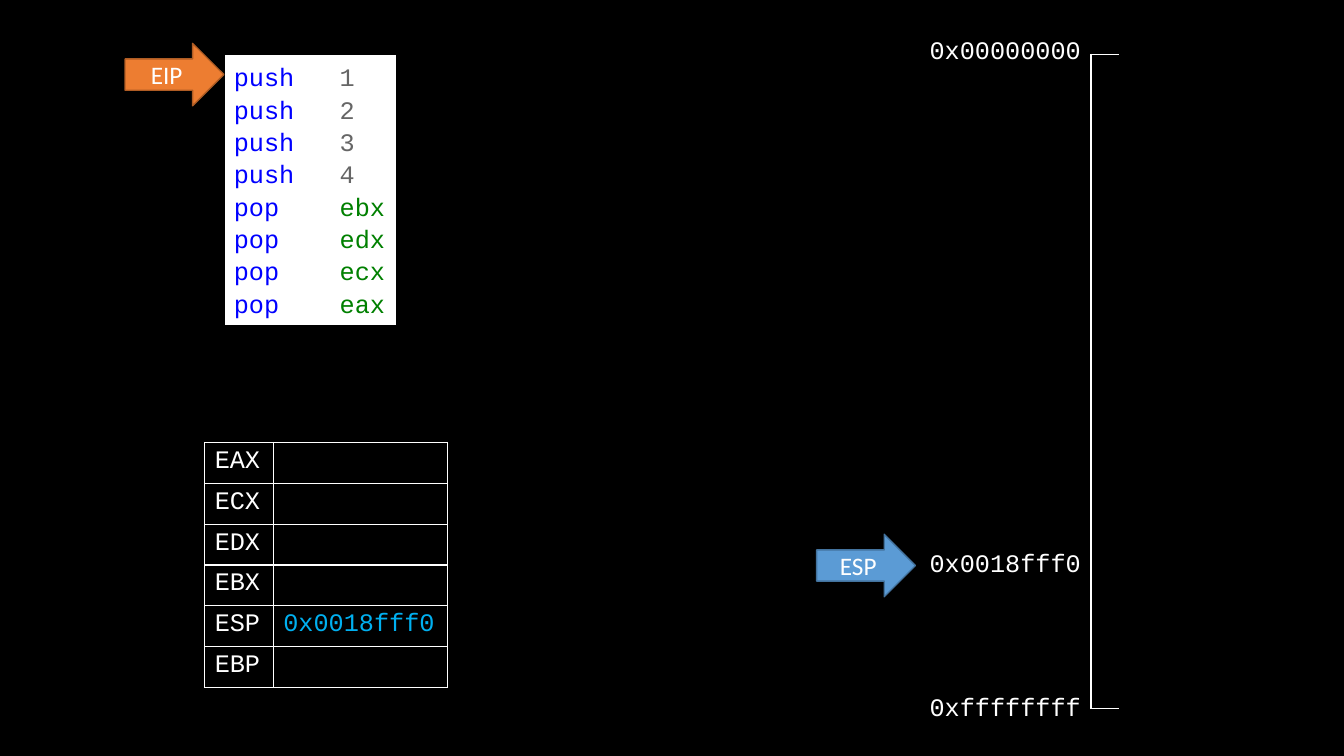
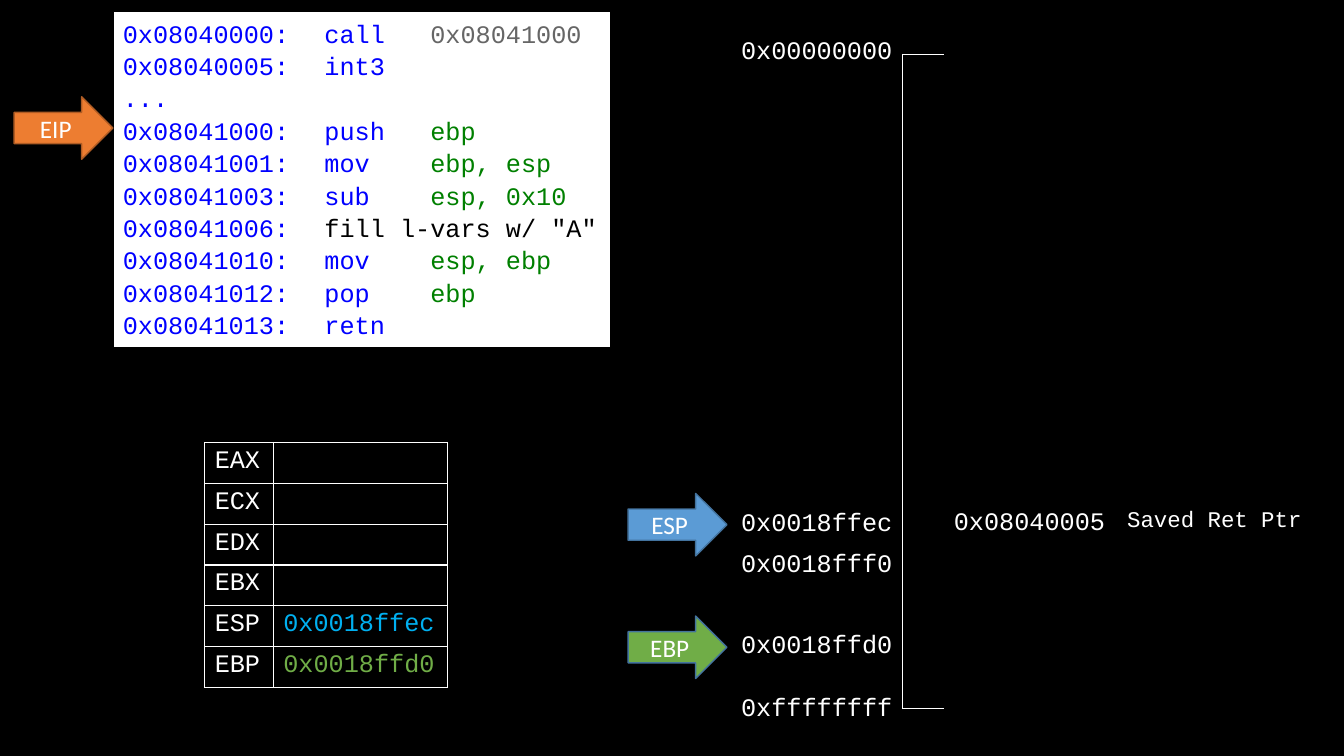
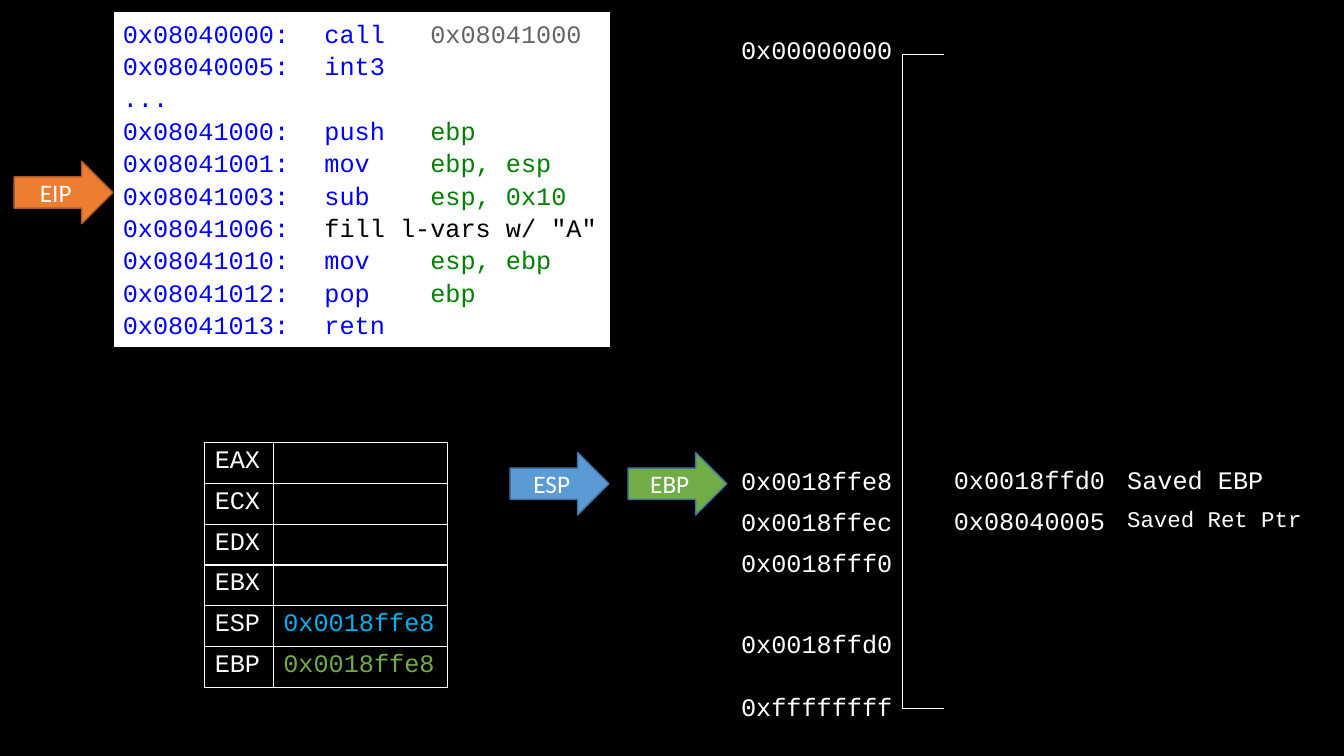
"""Build three slides that step through stack operations."""
import pptx
import pptx.dml.color
import pptx.enum.shapes
import pptx.enum.text
import pptx.oxml
import pptx.oxml.ns
import pptx.util

Inches = pptx.util.Inches
Pt = pptx.util.Pt
RGB = pptx.dml.color.RGBColor
ALIGN = pptx.enum.text.PP_ALIGN
ANCHOR = pptx.enum.text.MSO_ANCHOR
SHAPE = pptx.enum.shapes.MSO_SHAPE

BLACK = RGB(0x00, 0x00, 0x00)
WHITE = RGB(0xFF, 0xFF, 0xFF)
BLUE = RGB(0x00, 0x00, 0xFF)
GRAY = RGB(0x66, 0x66, 0x66)
GREEN = RGB(0x00, 0x80, 0x00)
SKY = RGB(0x00, 0xB0, 0xF0)
LEAF = RGB(0x70, 0xAD, 0x47)
STEEL = RGB(0x5B, 0x9B, 0xD5)
NAVY = RGB(0x43, 0x73, 0x9E)
AMBER = RGB(0xED, 0x7D, 0x31)
RUST = RGB(0xAF, 0x5C, 0x24)

MONO, SANS = "Courier New", "Calibri"
PLAIN = "{2D5ABB26-0587-4C30-8999-92F81FD0307C}"
NAMES = ["EAX", "ECX", "EDX", "EBX", "ESP", "EBP"]
TONES = {"ESP": SKY, "EBP": LEAF}
ARROWS = {"EIP": (AMBER, RUST), "ESP": (STEEL, NAVY), "EBP": (LEAF, NAVY)}

TOP, SLOTS = 0.54, 16
ROW = 6.49 / SLOTS
LINE = 0.32
WIDE, HIGH, STEP = 0.98, 0.62, 1.17

PUSHES = {
    "box": (2.22, 0.54, 1.71, 2.69),
    "tabs": [1.05],
    "lines": [
        ("push\t", "1", GRAY),
        ("push\t", "2", GRAY),
        ("push\t", "3", GRAY),
        ("push\t", "4", GRAY),
        ("pop\t", "ebx", GREEN),
        ("pop\t", "edx", GREEN),
        ("pop\t", "ecx", GREEN),
        ("pop\t", "eax", GREEN),
    ],
}
CALLS = {
    "box": (1.12, 0.11, 4.94, 3.34),
    "tabs": [2, 3.05],
    "lines": [
        ("0x08040000:\tcall\t", "0x08041000", GRAY),
        ("0x08040005:\tint3", "", BLUE),
        ("...", "", BLUE),
        ("0x08041000:\tpush\t", "ebp", GREEN),
        ("0x08041001:\tmov\t", "ebp, esp", GREEN),
        ("0x08041003:\tsub\t", "esp, 0x10", GREEN),
        ("0x08041006:\t", "fill l-vars w/ \"A\"", BLACK),
        ("0x08041010:\tmov\t", "esp, ebp", GREEN),
        ("0x08041012:\tpop\t", "ebp", GREEN),
        ("0x08041013:\tretn", "", BLUE),
    ],
}
BASE = {12: "0x0018fff0"}
FRAME = {11: "0x0018ffec", **BASE, 14: "0x0018ffd0"}
RETURN = {11: ("0x08040005", "Saved Ret Ptr")}
SLIDES = [
    {"code": PUSHES, "eip": 0, "left": 10.82, "cols": [0.28, 1.84],
     "marks": BASE, "stack": {}, "regs": {"ESP": 12}},
    {"code": CALLS, "eip": 3, "left": 8.95, "cols": [0.41, 1.72, 2.02],
     "marks": FRAME, "stack": RETURN, "regs": {"ESP": 11, "EBP": 14}},
    {"code": CALLS, "eip": 5, "left": 8.95, "cols": [0.41, 1.72, 2.02],
     "marks": {10: "0x0018ffe8", **FRAME},
     "stack": {10: ("0x0018ffd0", "Saved EBP"), **RETURN},
     "regs": {"ESP": 10, "EBP": 10}},
]


def style(run, color, font=MONO, size=18):
    """Format one run."""
    run.font.name, run.font.size = font, Pt(size)
    run.font.color.rgb = color


def border(cell, sides):
    """Draw white lines on the given sides of a cell."""
    props = cell._tc.get_or_add_tcPr()
    for side in sides:
        props.append(pptx.oxml.parse_xml(
            f'<a:ln{side} {pptx.oxml.ns.nsdecls("a")} w="12700"><a:solidFill>'
            f'<a:srgbClr val="{WHITE}"/></a:solidFill></a:ln{side}>'))


def grid(slide, left, top, cols, rows, sides):
    """Add a bare table, with sides(row, col) naming the lines of each cell."""
    table = slide.shapes.add_table(
        len(rows), len(cols), Inches(left), Inches(top),
        Inches(sum(cols)), Inches(sum(rows))).table
    table.first_row = table.horz_banding = False
    table._tbl.tblPr.find(pptx.oxml.ns.qn("a:tableStyleId")).text = PLAIN
    for col, width in zip(table.columns, cols):
        col.width = Inches(width)
    for r, height in enumerate(rows):
        table.rows[r].height = Inches(height)
        for c in range(len(cols)):
            cell = table.cell(r, c)
            border(cell, sides(r, c))
            cell.fill.background()
            end = cell.text_frame.paragraphs[0]._p.get_or_add_endParaRPr()
            end.set("sz", "600")
    return table


def write(cell, text, color=WHITE, size=18):
    """Put text in a table cell."""
    para = cell.text_frame.paragraphs[0]
    para.text = text
    style(para.runs[0], color, size=size)
    return para


def stack(slide, left, cols, items):
    """Draw the bracketed stack and its values."""
    def sides(r, c):
        if c:
            return ""
        return "L" + "T" * (r == 0) + "B" * (r == SLOTS - 1)

    table = grid(slide, left, TOP, cols, [ROW] * SLOTS, sides)
    for slot, (value, note) in items.items():
        write(table.cell(slot, 1), value)
        write(table.cell(slot, 2), note, size=16 if len(note) > 10 else 18)


def scale(slide, left, marks):
    """Draw the addresses beside the stack."""
    rows = [ROW, 0.22] + [ROW] * 14 + [0.22, ROW]
    table = grid(slide, left, 0.32, [1.74], rows, lambda r, c: "")
    texts = {0: "0x00000000", len(rows) - 1: "0xffffffff"}
    texts.update({slot + 1: text for slot, text in marks.items()})
    for r, text in texts.items():
        cell = table.cell(r, 0)
        cell.vertical_anchor = ANCHOR.MIDDLE
        write(cell, text).alignment = ALIGN.RIGHT


def registers(slide, values):
    """Draw the register table."""
    rows = [2.43 / len(NAMES)] * len(NAMES)
    table = grid(slide, 2.03, 4.39, [0.68, 1.73], rows, lambda r, c: "LRTB")
    for r, name in enumerate(NAMES):
        write(table.cell(r, 0), name)
        if name in values:
            write(table.cell(r, 1), values[name], TONES[name])


def arrow(slide, name, tip, mid):
    """Draw a pointer whose tip is at the given place."""
    shape = slide.shapes.add_shape(
        SHAPE.RIGHT_ARROW, Inches(tip - WIDE), Inches(mid - HIGH / 2),
        Inches(WIDE), Inches(HIGH))
    shape.shadow.inherit = False
    fill, edge = ARROWS[name]
    shape.fill.solid()
    shape.fill.fore_color.rgb = fill
    shape.line.color.rgb, shape.line.width = edge, Pt(1)
    frame = shape.text_frame
    frame.text = name
    frame.vertical_anchor = ANCHOR.MIDDLE
    frame.paragraphs[0].alignment = ALIGN.CENTER
    style(frame.paragraphs[0].runs[0], WHITE, SANS)


def listing(slide, box, tabs, lines):
    """Draw the code box."""
    shape = slide.shapes.add_textbox(*map(Inches, box))
    shape.fill.solid()
    shape.fill.fore_color.rgb = WHITE
    shape.line.color.rgb, shape.line.width = BLACK, Pt(1)
    frame = shape.text_frame
    frame.word_wrap = False
    frame.auto_size = pptx.enum.text.MSO_AUTO_SIZE.SHAPE_TO_FIT_TEXT
    stops = "".join(f'<a:tab pos="{Inches(t)}" algn="l"/>' for t in tabs)
    for i, (head, tail, color) in enumerate(lines):
        para = frame.add_paragraph() if i else frame.paragraphs[0]
        para.alignment, para.line_spacing = ALIGN.LEFT, 1.07
        para._p.get_or_add_pPr().append(pptx.oxml.parse_xml(
            f'<a:tabLst {pptx.oxml.ns.nsdecls("a")}>{stops}</a:tabLst>'))
        for text, tone in ((head, BLUE), (tail, color)):
            if text:
                run = para.add_run()
                run.text = text
                style(run, tone)


def build(slide, data):
    """Lay out one slide."""
    left, regs, code = data["left"], data["regs"], data["code"]
    edge = left - 1.74
    stack(slide, left, data["cols"], data["stack"])
    scale(slide, edge, data["marks"])
    registers(slide, {name: data["marks"][slot] for name, slot in regs.items()})
    listing(slide, **code)
    x, y = code["box"][:2]
    arrow(slide, "EIP", x, y + 0.2 + LINE * data["eip"])
    used = []
    for name, slot in reversed(list(regs.items())):
        arrow(slide, name, edge - STEP * used.count(slot),
              TOP + ROW * (slot + 0.5))
        used.append(slot)


def main():
    """Make the deck."""
    deck = pptx.Presentation()
    deck.slide_width, deck.slide_height = Inches(13.33), Inches(7.5)
    back = deck.slide_master.background.fill
    back.solid()
    back.fore_color.rgb = BLACK
    for data in SLIDES:
        build(deck.slides.add_slide(deck.slide_layouts[6]), data)
    deck.save("out.pptx")


if __name__ == "__main__":
    main()
